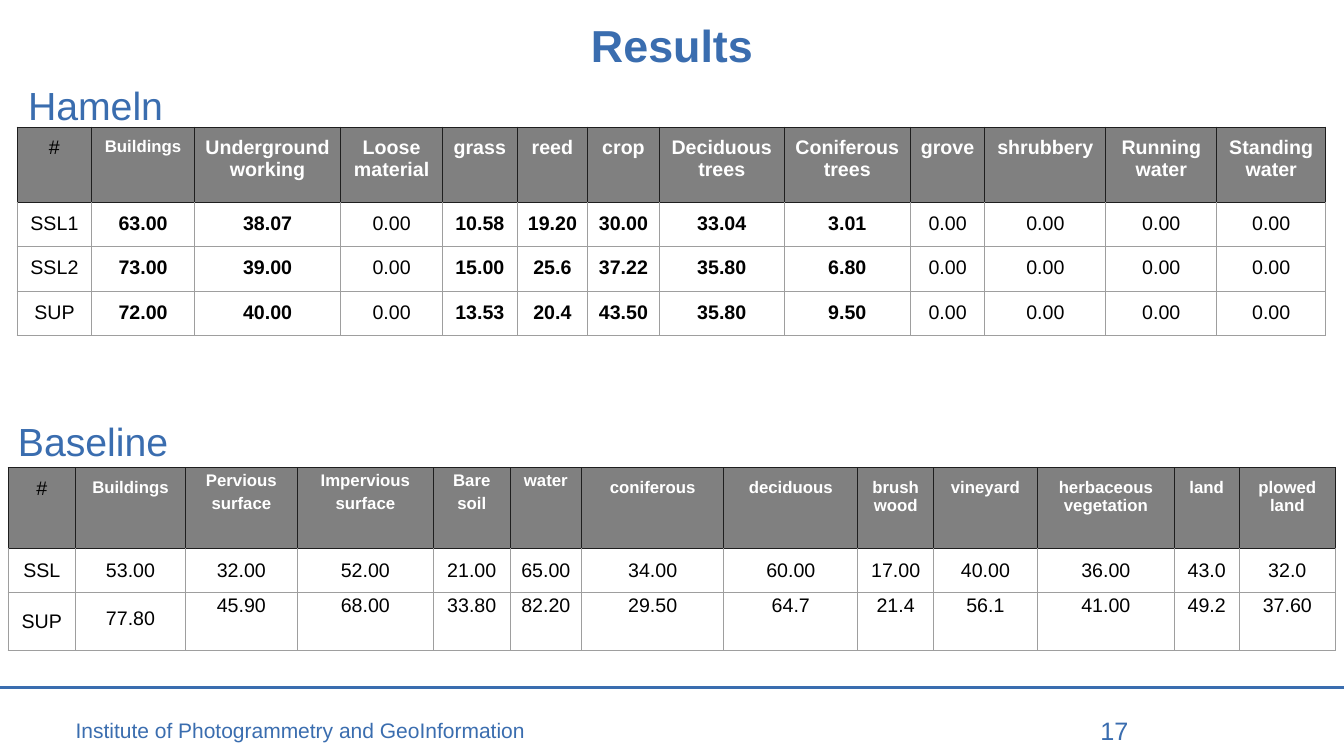
from lxml import etree
from pptx import Presentation
from pptx.dml.color import RGBColor
from pptx.enum.shapes import MSO_CONNECTOR
from pptx.enum.text import MSO_ANCHOR, PP_ALIGN
from pptx.oxml.ns import qn
from pptx.util import Inches, Pt

LEFT, CENTER, RIGHT = PP_ALIGN.LEFT, PP_ALIGN.CENTER, PP_ALIGN.RIGHT
TOP, MIDDLE = MSO_ANCHOR.TOP, MSO_ANCHOR.MIDDLE
STRAIGHT = MSO_CONNECTOR.STRAIGHT
COLORS = {"blue": "3A6DAF", "head": "808080", "dark": "1E1E1E",
          "grid": "9E9E9E", "black": "000000", "white": "FFFFFF"}

HAMELN = [
    ["#", "Buildings", "Underground working", "Loose material", "grass", "reed", "crop",
     "Deciduous trees", "Coniferous trees", "grove", "shrubbery", "Running water",
     "Standing water"],
    ["SSL1", "63.00", "38.07", "0.00", "10.58", "19.20", "30.00", "33.04", "3.01",
     "0.00", "0.00", "0.00", "0.00"],
    ["SSL2", "73.00", "39.00", "0.00", "15.00", "25.6", "37.22", "35.80", "6.80",
     "0.00", "0.00", "0.00", "0.00"],
    ["SUP", "72.00", "40.00", "0.00", "13.53", "20.4", "43.50", "35.80", "9.50",
     "0.00", "0.00", "0.00", "0.00"],
]
BASELINE = [
    ["#", "Buildings", "Pervious\nsurface", "Impervious\nsurface", "Bare\nsoil", "water",
     "coniferous", "deciduous", "brushwood", "vineyard", "herbaceous vegetation", "land",
     "plowed land"],
    ["SSL", "53.00", "32.00", "52.00", "21.00", "65.00", "34.00", "60.00", "17.00",
     "40.00", "36.00", "43.0", "32.0"],
    ["SUP", "77.80", "45.90", "68.00", "33.80", "82.20", "29.50", "64.7", "21.4",
     "56.1", "41.00", "49.2", "37.60"],
]
HAMELN_COLS = [0.74, 1.02, 1.45, 1.01, 0.74, 0.7, 0.71, 1.24, 1.25, 0.74, 1.2, 1.1, 1.08]
BASE_COLS = [0.67, 1.09, 1.11, 1.35, 0.76, 0.71, 1.41, 1.33, 0.75, 1.03, 1.36, 0.64, 0.96]


class Deck:
    """Holds the style and the current slide, and adds each kind of element."""

    def __init__(self):
        self.prs = Presentation()
        self.prs.slide_width, self.prs.slide_height = Inches(13.33), Inches(7.5)
        self.slide = self.prs.slides.add_slide(self.prs.slide_layouts[5])
        self.font = "Arial"

    def color(self, name):
        return RGBColor.from_string(COLORS[name])

    def style(self, par, size, color="blue", bold=False, align=LEFT):
        par.alignment = align
        par.font.name, par.font.size, par.font.bold = self.font, Pt(size), bold
        par.font.color.rgb = self.color(color)

    def pad(self, frame, side, top):
        frame.margin_left = frame.margin_right = Inches(side)
        frame.margin_top = frame.margin_bottom = Inches(top)

    def title(self, text, box):
        shape = self.slide.shapes.title
        shape.left, shape.top, shape.width, shape.height = map(Inches, box)
        frame = shape.text_frame
        frame.text = text
        frame.vertical_anchor = MIDDLE
        self.pad(frame, 0.1, 0.05)
        self.style(frame.paragraphs[0], 32, bold=True, align=CENTER)

    def text(self, text, box, size, side=0.1, top=0.1, align=LEFT):
        frame = self.slide.shapes.add_textbox(*map(Inches, box)).text_frame
        frame.word_wrap = True
        self.pad(frame, side, top)
        frame.text = text
        self.style(frame.paragraphs[0], size, align=align)

    def line(self, x1, y1, x2, y2):
        rule = self.slide.shapes.add_connector(STRAIGHT, *map(Inches, (x1, y1, x2, y2)))
        rule.line.color.rgb = self.color("blue")
        rule.line.width = Pt(2)
        etree.SubElement(rule._element.spPr, qn("a:effectLst"))

    def border(self, cell, row):
        props = cell._tc.get_or_add_tcPr()
        for side in "LRTB":
            dark = row == 0 or (row == 1 and side == "T")
            edge = etree.SubElement(props, qn("a:ln" + side), w=str(Pt(0.75)))
            fill = etree.SubElement(edge, qn("a:solidFill"))
            etree.SubElement(fill, qn("a:srgbClr"), val=COLORS["dark" if dark else "grid"])

    def table(self, data, left, top, cols, rows, rule):
        box = map(Inches, (left, top, sum(cols), sum(rows)))
        table = self.slide.shapes.add_table(len(rows), len(cols), *box).table
        table.first_row = table.horz_banding = False
        for col, width in zip(table.columns, cols):
            col.width = Inches(width)
        for row, height in zip(table.rows, rows):
            row.height = Inches(height)
        for r, line in enumerate(data):
            for c, text in enumerate(line):
                cell = table.cell(r, c)
                size, bold, space, anchor = rule(r, c, text)
                head = r == 0 and c > 0
                self.border(cell, r)
                if r == 0:
                    cell.fill.solid()
                    cell.fill.fore_color.rgb = self.color("head")
                else:
                    cell.fill.background()
                self.pad(cell, 0.1, 0.1)
                cell.vertical_anchor = anchor
                cell.text_frame.text = text
                for i, par in enumerate(cell.text_frame.paragraphs):
                    par.line_spacing = space
                    if i:
                        par.space_before = Pt(8.25)
                    self.style(par, size, "white" if head else "black", bold, CENTER)


def hameln(r, c, text):
    """Gives size, weight, spacing and anchor of a Hameln cell."""
    size = 12 if text == "Buildings" else 14
    return size, c > 0 and text != "0.00", 1.0, TOP


def baseline(r, c, text):
    """Gives size, weight, spacing and anchor of a Baseline cell."""
    if r == 0:
        return 12 if c else 14, c > 0, 0.6 if 2 <= c <= 5 else 1.0, TOP
    tight = r == 2 and c > 0
    return 14, False, 0.6 if tight else 1.0, TOP if tight and c > 1 else MIDDLE


def main():
    """Builds the results slide."""
    deck = Deck()
    deck.title("Results", (0.39, 0.17, 12.55, 0.54))
    deck.line(0, 6.82, 13.33, 6.82)
    deck.text("Institute of Photogrammetry and GeoInformation", (0.75, 7.12, 4.57, 0.25),
              15, side=0, top=0)
    deck.text("17", (9.57, 7.05, 1.72, 0.4), 18, top=0.05, align=RIGHT)
    deck.table(HAMELN, 0.17, 1.26, HAMELN_COLS, [0.75, 0.44, 0.44, 0.44], hameln)
    deck.table(BASELINE, 0.08, 4.64, BASE_COLS, [0.8, 0.42, 0.58], baseline)
    deck.text("Hameln", (0.18, 0.71, 1.6, 0.77), 28)
    deck.text("Baseline", (0.08, 4.04, 1.81, 0.77), 28)
    deck.prs.save("out.pptx")


if __name__ == "__main__":
    main()
